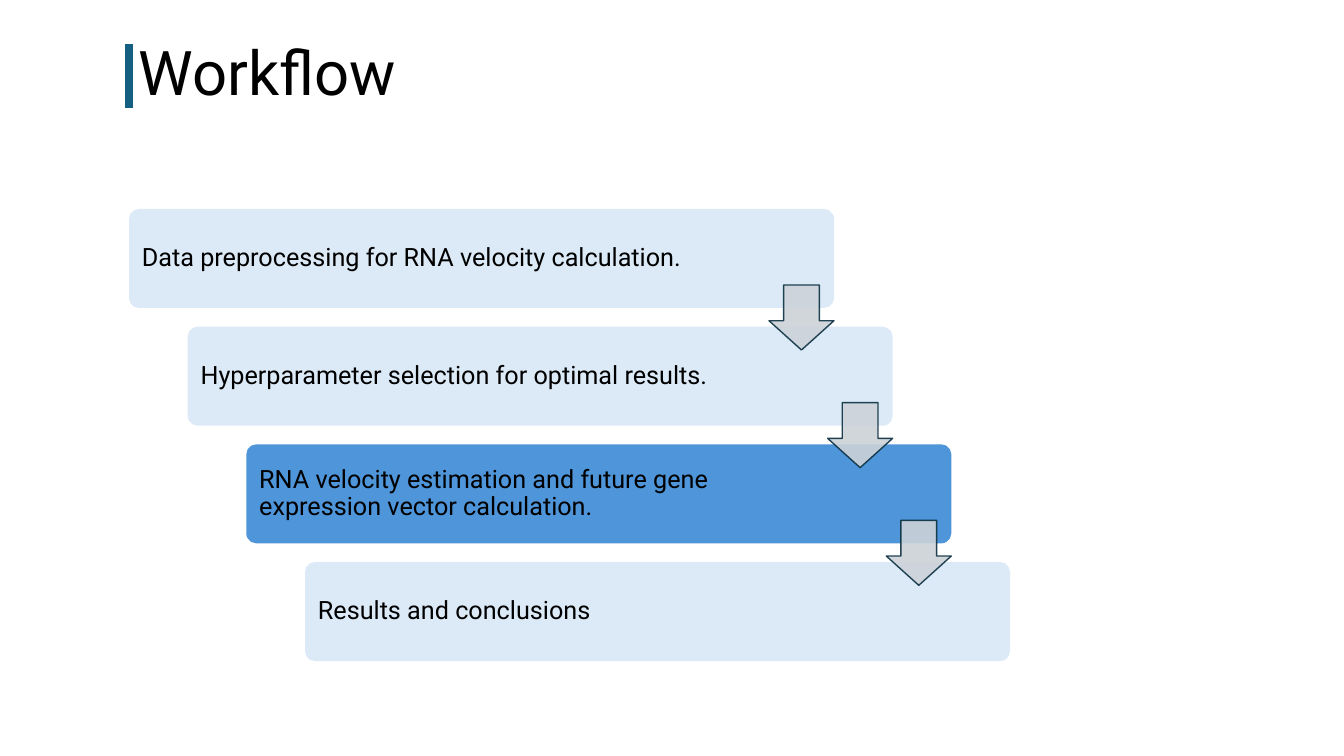
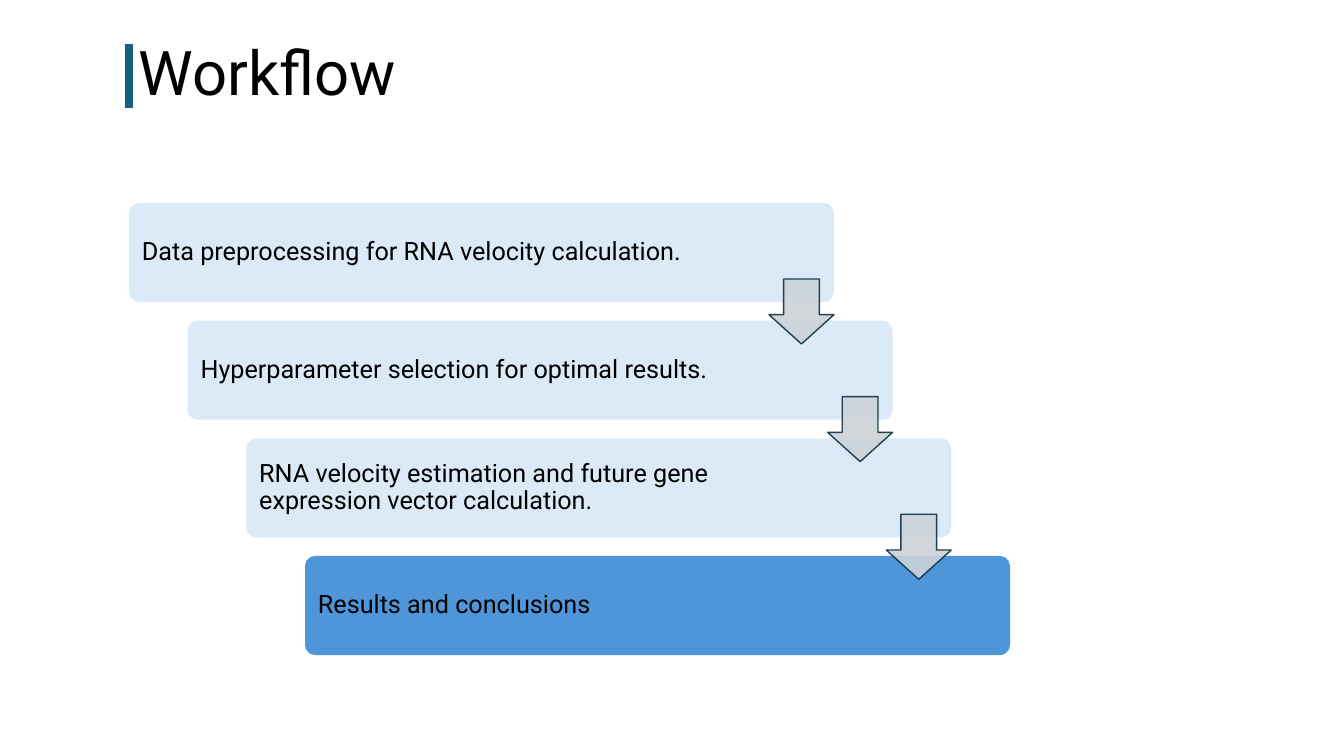
from dataclasses import dataclass

from lxml import etree
from pptx import Presentation
from pptx import util as u
from pptx.dml.color import RGBColor
from pptx.enum import shapes, text
from pptx.oxml.ns import qn

PX_PER_INCH = 100.8
PAGE_WIDTH, PAGE_HEIGHT = 1344, 756


@dataclass(frozen=True)
class Theme:
    font: str = "Roboto"
    title_size: int = 44
    step_size: int = 18
    line_spacing: float = 0.9
    ink: str = "000000"
    accent: str = "156082"
    step: str = "DCEAF7"
    current_step: str = "4E95D9"
    arrow: str = "CCD2D8"
    arrow_line: str = "0B3041"
    arrow_opacity: int = 90


THEME = Theme()

STEPS = [
    "Data preprocessing for RNA velocity calculation.",
    "Hyperparameter selection for optimal results.",
    "RNA velocity estimation and future gene expression vector calculation.",
    "Results and conclusions",
]

# Each page: top of the staircase in px, index of the highlighted step
PAGES = [(209, 2), (203, 3)]


def px(length):
    return u.Emu(round(length * 914400 / PX_PER_INCH))


def rgb(value):
    return RGBColor.from_string(value)


def write(shape, words, size):
    """Fill a shape with one left-aligned, vertically centred paragraph."""
    frame = shape.text_frame
    frame.word_wrap = True
    frame.vertical_anchor = text.MSO_ANCHOR.MIDDLE
    frame.text = words
    para = frame.paragraphs[0]
    para.alignment = text.PP_ALIGN.LEFT
    para.line_spacing = THEME.line_spacing
    for span in para.runs:
        span.font.name = THEME.font
        span.font.size = u.Pt(size)
        span.font.color.rgb = rgb(THEME.ink)
    return frame


def add_solid(page, kind, left, top, width, height, color, adjustments):
    shape = page.shapes.add_shape(kind, px(left), px(top), px(width), px(height))
    shape.shadow.inherit = False
    shape.fill.solid()
    shape.fill.fore_color.rgb = rgb(color)
    for index, value in enumerate(adjustments):
        shape.adjustments[index] = value
    return shape


def add_title(page, words, left, top, width, height):
    """Title with an accent bar on its left edge."""
    box = page.shapes.add_textbox(px(left), px(top), px(width), px(height))
    write(box, words, THEME.title_size)

    bar_top, bar_height = top + 26, 64
    bar = page.shapes.add_connector(
        shapes.MSO_CONNECTOR.STRAIGHT,
        px(left), px(bar_top), px(left), px(bar_top + bar_height))
    bar.line.color.rgb = rgb(THEME.accent)
    bar.line.width = u.Pt(6)
    etree.SubElement(bar._element.spPr, qn("a:effectLst"))


def add_step(page, words, left, top, width, height, color):
    step = add_solid(page, shapes.MSO_SHAPE.ROUNDED_RECTANGLE,
                     left, top, width, height, color, [0.1])
    step.line.fill.background()
    frame = write(step, words, THEME.step_size)
    frame.margin_left = px(10)
    frame.margin_right = px(134)  # keeps the text clear of the arrows


def add_arrow(page, left, top, size):
    arrow = add_solid(page, shapes.MSO_SHAPE.DOWN_ARROW,
                      left, top, size, size, THEME.arrow, [0.55, 0.45])
    arrow.line.color.rgb = rgb(THEME.arrow_line)
    arrow.line.width = u.Pt(1)
    # Same opacity for fill and outline
    for color in arrow._element.spPr.iter(qn("a:srgbClr")):
        etree.SubElement(color, qn("a:alpha"), val=str(THEME.arrow_opacity * 1000))


def add_staircase(page, steps, current, left, top, width, height):
    """Steps descending to the right, joined by arrows at their right ends."""
    step_width, step_height, arrow_size, arrow_drop = 705, 99, 65, 76
    gaps = len(steps) - 1
    places = [(left + i * (width - step_width) / gaps,
               top + i * (height - step_height) / gaps)
              for i in range(len(steps))]

    for index, (words, (x, y)) in enumerate(zip(steps, places)):
        color = THEME.current_step if index == current else THEME.step
        add_step(page, words, x, y, step_width, step_height, color)
    for x, y in places[:-1]:
        add_arrow(page, x + step_width - arrow_size, y + arrow_drop, arrow_size)


def add_workflow_page(deck, staircase_top, current):
    page = deck.slides.add_slide(deck.slide_layouts[6])
    add_title(page, "Workflow", 129, 18, 1049, 116)
    add_staircase(page, STEPS, current, 129, staircase_top, 881, 452)


def main():
    deck = Presentation()
    deck.slide_width, deck.slide_height = px(PAGE_WIDTH), px(PAGE_HEIGHT)
    for staircase_top, current in PAGES:
        add_workflow_page(deck, staircase_top, current)
    deck.save("out.pptx")


if __name__ == "__main__":
    main()
